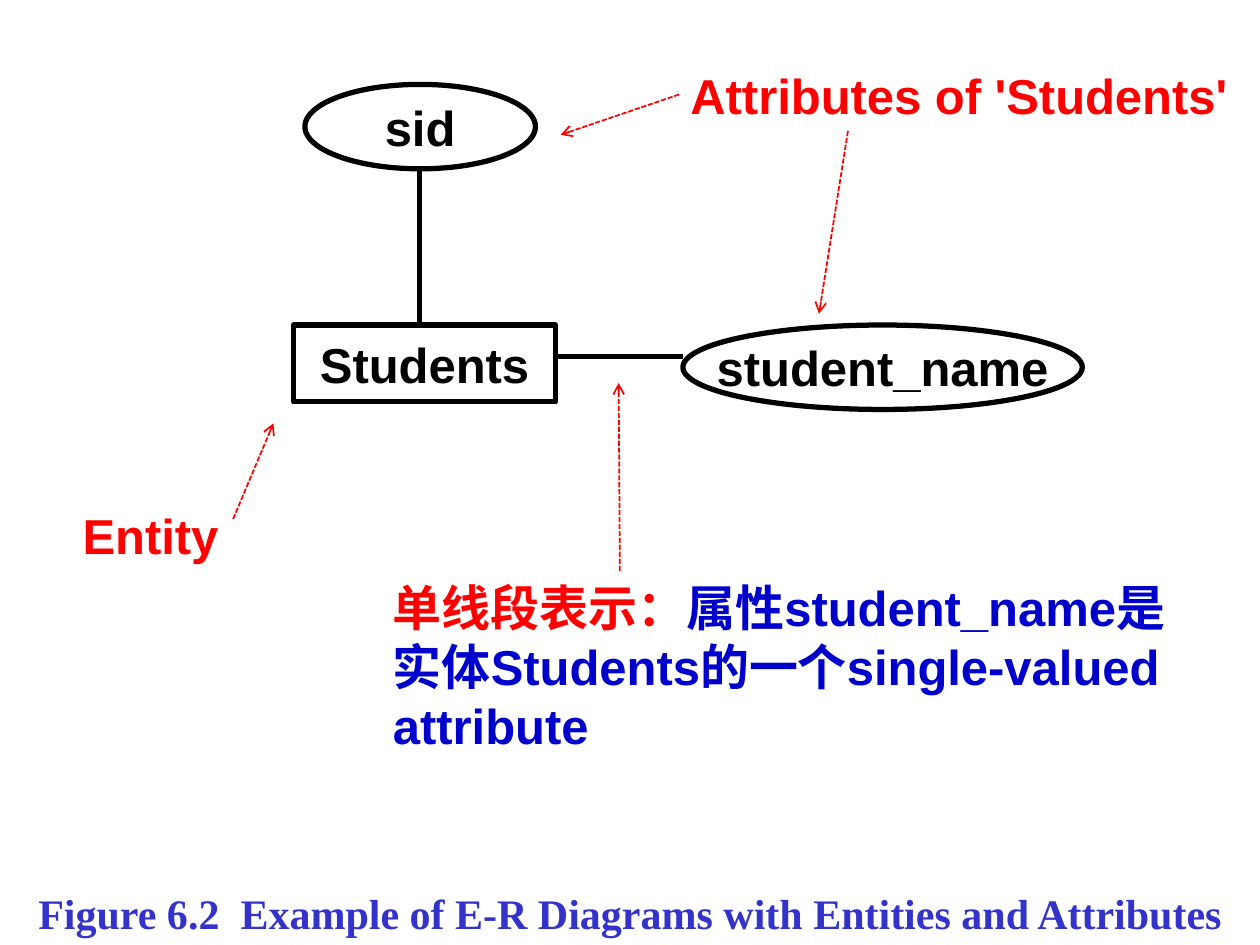
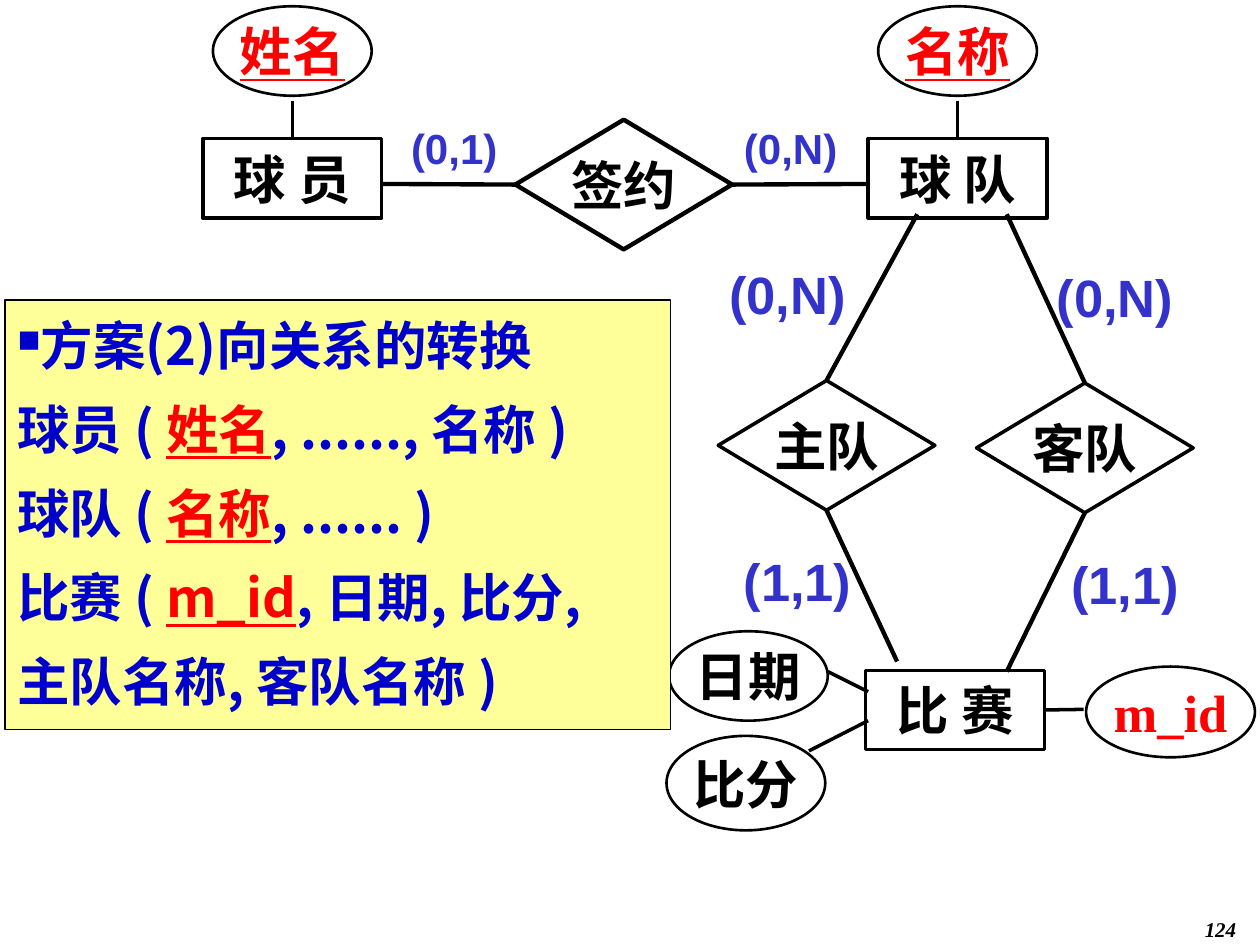
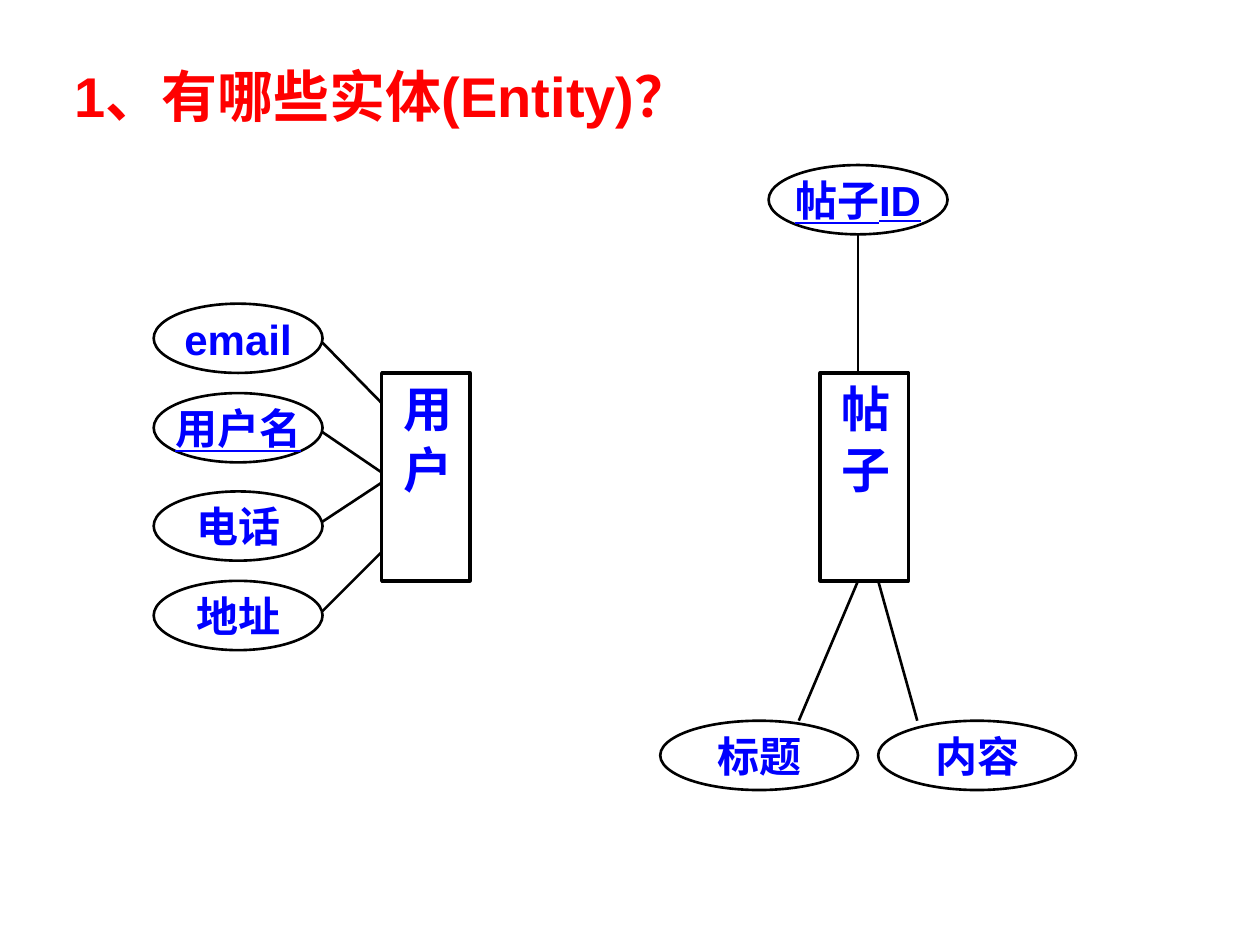
from dataclasses import dataclass
from typing import NamedTuple, Optional

from lxml import etree
from pptx import Presentation
from pptx.dml.color import RGBColor
from pptx.enum.dml import MSO_LINE
from pptx.enum.shapes import MSO_CONNECTOR, MSO_SHAPE
from pptx.enum.text import MSO_ANCHOR, PP_ALIGN
from pptx.oxml.ns import qn
from pptx.util import Emu, Pt

RECT, ELLIPSE, DIAMOND = MSO_SHAPE.RECTANGLE, MSO_SHAPE.OVAL, MSO_SHAPE.DIAMOND
LEFT, CENTER, RIGHT = PP_ALIGN.LEFT, PP_ALIGN.CENTER, PP_ALIGN.RIGHT
TOP, MIDDLE = MSO_ANCHOR.TOP, MSO_ANCHOR.MIDDLE
DASH = MSO_LINE.SQUARE_DOT
STRAIGHT = MSO_CONNECTOR.STRAIGHT
SITE_TOP, SITE_LEFT, SITE_BOTTOM, SITE_RIGHT = range(4)

PX = 9144  # 100 px to the inch
WIDTH, HEIGHT = 1000, 750

BLACK, WHITE, RED = "000000", "FFFFFF", "FF0000"
NAVY, INDIGO, BLUE, YELLOW = "0000CC", "3333CC", "0000FF", "FFFF99"
SANS, SERIF, CJK = "Arial", "Times New Roman", "Noto Sans CJK SC"


class Style(NamedTuple):
    size: int
    font: str
    color: str
    italic: bool = False


class Run(NamedTuple):
    text: str
    color: Optional[str] = None
    underline: bool = False


@dataclass
class Box:
    """A text box when kind is None, otherwise a preset shape."""
    x: int
    y: int
    w: int
    h: int
    paragraphs: list[list[Run]]
    style: Style
    kind: Optional[MSO_SHAPE] = None
    weight: float = 0
    fill: Optional[str] = None
    align: PP_ALIGN = CENTER
    anchor: MSO_ANCHOR = MIDDLE
    inset: tuple[int, int] = (10, 5)
    wrap: bool = True
    vertical: bool = False
    line_height: float = 0
    space_before: int = 0
    bullet: Optional[str] = None


class Join(NamedTuple):
    node: str
    site: int


class Link(NamedTuple):
    x1: int
    y1: int
    x2: int
    y2: int
    weight: float
    begin: Optional[Join] = None
    end: Optional[Join] = None


def px(n):
    return Emu(n * PX)


def rgb(color):
    return RGBColor.from_string(color)


def add_run(p, run: Run, style: Style):
    r = p.add_run()
    r.text = run.text
    r.font.size = Pt(style.size)
    r.font.name = style.font
    r.font.bold = True
    r.font.italic = style.italic
    r.font.underline = run.underline
    r.font.color.rgb = rgb(run.color or style.color)
    etree.SubElement(r.font._element, qn("a:ea"), typeface=CJK)


def add_bullet(p, char: str):
    pPr = p._p.get_or_add_pPr()
    etree.SubElement(pPr, qn("a:buSzPct"), val="60000")
    etree.SubElement(pPr, qn("a:buChar"), char=char)


def fill_text(tf, box: Box):
    tf.word_wrap = box.wrap
    tf.vertical_anchor = box.anchor
    tf.margin_left = tf.margin_right = px(box.inset[0])
    tf.margin_top = tf.margin_bottom = px(box.inset[1])
    if box.vertical:
        tf._txBody.bodyPr.set("vert", "eaVert")
    for i, runs in enumerate(box.paragraphs):
        p = tf.add_paragraph() if i else tf.paragraphs[0]
        p.alignment = box.align
        if box.line_height:
            p.line_spacing = Pt(box.line_height)
        if i and box.space_before:
            p.space_before = Pt(box.space_before)
        if i == 0 and box.bullet:
            add_bullet(p, box.bullet)
        for run in runs:
            add_run(p, run, box.style)


def draw_box(s, box: Box):
    frame = [px(n) for n in (box.x, box.y, box.w, box.h)]
    if box.kind is None:
        sp = s.shapes.add_textbox(*frame)
    else:
        sp = s.shapes.add_shape(box.kind, *frame)
        sp.shadow.inherit = False
        if box.fill:
            sp.fill.solid()
            sp.fill.fore_color.rgb = rgb(box.fill)
        else:
            sp.fill.background()
        if box.weight:
            sp.line.color.rgb = rgb(BLACK)
            sp.line.width = Pt(box.weight)
        else:
            sp.line.fill.background()
    fill_text(sp.text_frame, box)
    return sp


def draw_line(s, link: Link, color: str = BLACK):
    ends = [px(n) for n in (link.x1, link.y1, link.x2, link.y2)]
    cxn = s.shapes.add_connector(STRAIGHT, *ends)
    cxn.line.color.rgb = rgb(color)
    cxn.line.width = Pt(link.weight)
    etree.SubElement(cxn._element.spPr, qn("a:effectLst"))
    return cxn


def draw_pointer(s, x1: int, y1: int, x2: int, y2: int):
    """Dashed red arrow from a remark to what it explains."""
    cxn = draw_line(s, Link(x1, y1, x2, y2, 1), RED)
    cxn.line.dash_style = DASH
    etree.SubElement(cxn.line._get_or_add_ln(), qn("a:tailEnd"), type="arrow")


def draw_diagram(s, boxes: list[Box], links: list[Link]):
    """Draw the nodes, then the lines joined to them by their text."""
    nodes = {box.paragraphs[0][0].text: draw_box(s, box) for box in boxes}
    for link in links:
        cxn = draw_line(s, link)
        if link.begin:
            cxn.begin_connect(nodes[link.begin.node], link.begin.site)
        if link.end:
            cxn.end_connect(nodes[link.end.node], link.end.site)


def node(kind, text: str, x: int, y: int, w: int, h: int, style: Style,
         weight: float, color: Optional[str] = None, underline: bool = False) -> Box:
    return Box(x, y, w, h, [[Run(text, color, underline)]], style, kind, weight,
               inset=(0, 0), wrap=False)


def label(text: str, x: int, y: int, w: int, h: int, style: Style) -> Box:
    return Box(x, y, w, h, [[Run(text)]], style, inset=(0, 0), wrap=False)


def build_figure(s):
    black, red = Style(28, SANS, BLACK), Style(28, SANS, RED)
    draw_diagram(s, [
        node(RECT, "Students", 233, 258, 208, 61, black, 3),
        node(ELLIPSE, "sid", 242, 67, 183, 67, black, 3),
        node(ELLIPSE, "student_name", 542, 258, 317, 67, black, 3),
    ], [Link(333, 133, 333, 258, 3), Link(542, 283, 442, 283, 3)])

    remarks = [
        ("Figure 6.2  Example of E-R Diagrams with Entities and Attributes",
         4, 699, 992, 50, Style(24, SERIF, INDIGO)),
        ("Entity", 38, 396, 163, 57, red),
        ("Attributes of 'Students'", 532, 47, 458, 57, red),
    ]
    for text, x, y, w, h, style in remarks:
        draw_box(s, Box(x, y, w, h, [[Run(text)]], style, RECT, fill=WHITE))
    draw_box(s, Box(302, 453, 640, 150, [[
        Run("单线段表示：", RED),
        Run("属性student_name是实体Students的一个single-valued attribute"),
    ]], Style(28, SANS, NAVY), align=LEFT, anchor=TOP, line_height=33.7))

    for ends in [(185, 412, 217, 336), (673, 104, 650, 249),
                 (539, 75, 445, 107), (492, 453, 491, 304)]:
        draw_pointer(s, *ends)


def build_conversion(s):
    serif = Style(30, SERIF, BLACK)
    small, large = Style(24, SANS, INDIGO), Style(30, SANS, INDIGO)

    entities = [("球 员", 161, 110), ("球 队", 689, 110), ("比 赛", 687, 532)]
    relations = [("签约", 409, 95, 2.5), ("客队", 775, 304, 2), ("主队", 570, 302, 2)]
    attributes = [
        ("姓名", 169, 5, 126, 71, RED, True),
        ("名称", 697, 5, 126, 71, RED, True),
        ("m_id", 862, 529, 134, 72, RED, False),
        ("日期", 531, 501, 126, 71, BLACK, False),
        ("比分", 529, 584, 126, 75, BLACK, False),
    ]
    boxes = [node(RECT, text, x, y, 142, 63, serif, 2) for text, x, y in entities]
    boxes += [node(DIAMOND, text, x, y, 172, 103, serif, weight)
              for text, x, y, weight in relations]
    boxes += [node(ELLIPSE, text, x, y, w, h, serif, 1.5, color, underline)
              for text, x, y, w, h, color, underline in attributes]
    draw_diagram(s, boxes, [
        Link(232, 80, 232, 110, 2, end=Join("球 员", SITE_TOP)),
        Link(760, 80, 760, 110, 2, end=Join("球 队", SITE_TOP)),
        Link(579, 146, 689, 146, 2.5, begin=Join("签约", SITE_RIGHT)),
        Link(304, 146, 414, 146, 2.5, end=Join("签约", SITE_LEFT)),
        Link(828, 562, 860, 563, 2, begin=Join("比 赛", SITE_RIGHT)),
        Link(657, 533, 689, 549, 2),
        Link(642, 596, 689, 572, 2),
        Link(799, 170, 862, 304, 2.5, end=Join("客队", SITE_TOP)),
        Link(799, 533, 862, 407, 2.5, end=Join("客队", SITE_BOTTOM)),
        Link(728, 170, 656, 302, 2.5, end=Join("主队", SITE_TOP)),
        Link(712, 525, 656, 405, 2.5, end=Join("主队", SITE_BOTTOM)),
    ])

    for text, x in [("(0,1)", 323), ("(0,N)", 590)]:
        draw_box(s, label(text, x, 97, 75, 40, small))
    for x, y in [(838, 210), (578, 208)]:
        draw_box(s, label("(0,N)", x, y, 94, 50, large))
        draw_box(s, label("(1,1)", x + 8, y + 228, 94, 50, large))

    draw_box(s, Box(4, 238, 528, 341, [
        [Run("方案(2)向关系的转换")],
        [Run("球员 ( "), Run("姓名", RED, True), Run(", ......, 名称 )")],
        [Run("球队 ( "), Run("名称", RED, True), Run(", ...... )")],
        [Run("比赛 ( "), Run("m_id", RED, True), Run(", 日期, 比分,")],
        [Run("主队名称, 客队名称 )")],
    ], Style(30, CJK, NAVY), RECT, 0.75, YELLOW, LEFT, TOP,
        line_height=40, space_before=8, bullet="■"))
    draw_box(s, Box(783, 725, 208, 25, [[Run("124")]],
                    Style(12, SERIF, BLACK, italic=True), align=RIGHT))


def build_entities(s):
    cjk, sans = Style(24, CJK, BLUE), Style(24, SANS, BLUE)
    boxes = [Box(x, 296, 70, 165, [[Run(text)]], Style(28, CJK, BLUE), RECT, 2,
                 align=LEFT, inset=(10, 9), vertical=True)
             for text, x in [("用 户", 303), ("帖 子", 651)]]
    links = [Link(681, 186, 681, 296, 1.5),
             Link(697, 461, 728, 572, 1.5),
             Link(634, 572, 681, 461, 1.5)]

    user_attributes = [("email", 241, 320, sans), ("用户名", 312, 375, cjk),
                       ("电话", 390, 383, cjk), ("地址", 461, 438, cjk)]
    for text, y, y_user, style in user_attributes:
        boxes.append(node(ELLIPSE, text, 122, y, 134, 55, style, 1.5,
                          underline=text == "用户名"))
        links.append(Link(256, y + 31 if y < 350 else y + 24, 303, y_user, 1.5))

    boxes.append(node(ELLIPSE, "帖子ID", 610, 131, 142, 55, sans, 1.5, underline=True))
    for text, x in [("标题", 524), ("内容", 697)]:
        boxes.append(node(ELLIPSE, text, x, 572, 157, 55, cjk, 1.5))
    draw_diagram(s, boxes, links)

    draw_box(s, Box(49, 44, 719, 63, [[Run("1、有哪些实体(Entity)？")]],
                    Style(32, SANS, RED), align=LEFT))


def main():
    prs = Presentation()
    prs.slide_width, prs.slide_height = px(WIDTH), px(HEIGHT)
    blank = prs.slide_layouts[6]
    for build in (build_figure, build_conversion, build_entities):
        build(prs.slides.add_slide(blank))
    prs.save("out.pptx")


if __name__ == "__main__":
    main()
